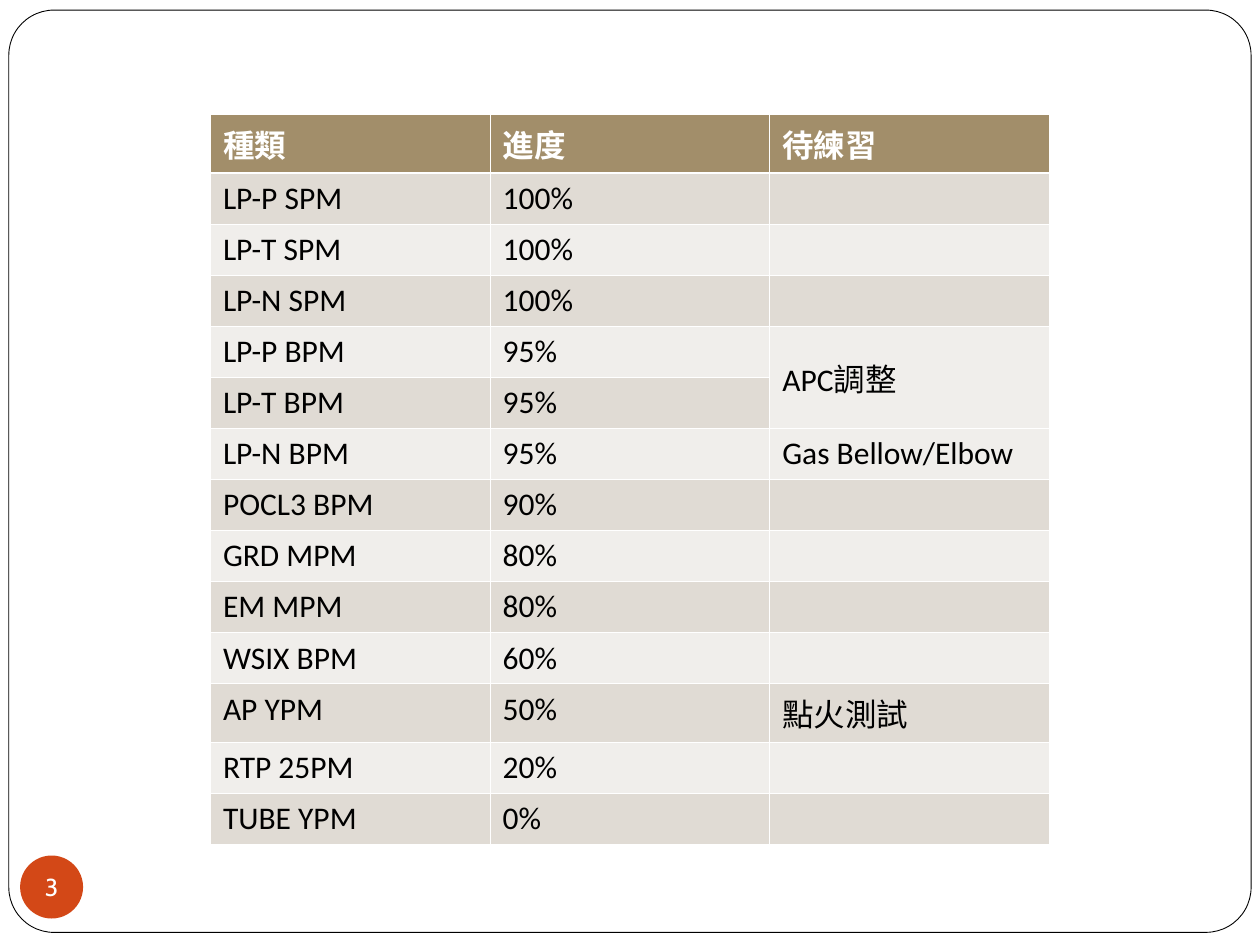
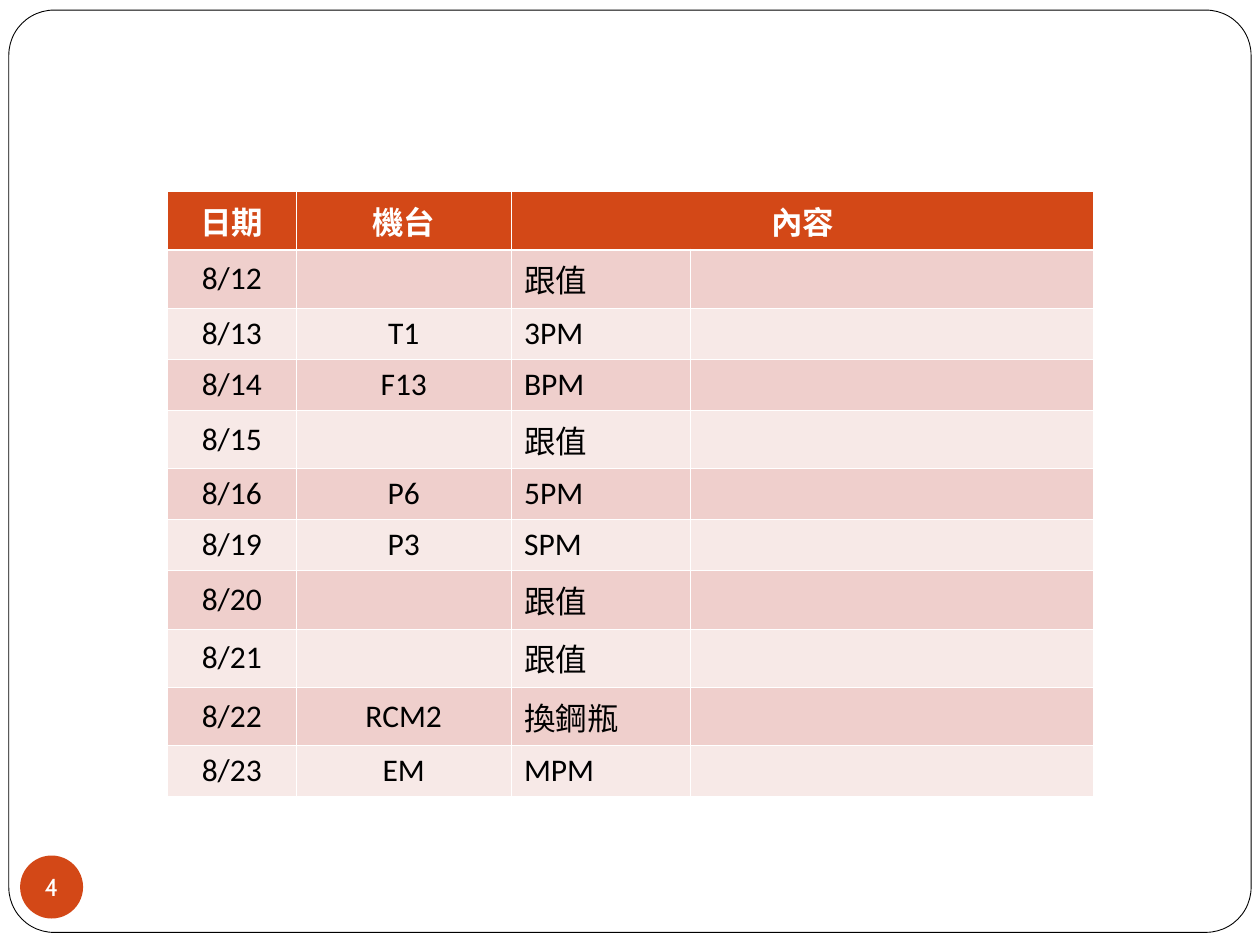
from lxml.etree import SubElement
from pptx import Presentation
from pptx.dml.color import RGBColor
from pptx.enum.shapes import MSO_SHAPE as Shape
from pptx.enum.text import MSO_ANCHOR as Anchor, PP_ALIGN as Align
from pptx.oxml.ns import qn
from pptx.util import Inches, Pt

WHITE = RGBColor(0xFF, 0xFF, 0xFF)
BLACK = RGBColor(0x00, 0x00, 0x00)
ORANGE = RGBColor(0xD3, 0x48, 0x17)
TAN = RGBColor(0xA2, 0x8E, 0x6A)
TAN_BANDS = (RGBColor(0xE0, 0xDB, 0xD4), RGBColor(0xF0, 0xEE, 0xEB))
ORANGE_BANDS = (RGBColor(0xEF, 0xCF, 0xCC), RGBColor(0xF7, 0xE9, 0xE7))
BODY_FONT = "Calibri"
NUMBER_FONT = "Cabin"
THIN, THICK = Pt(0.45), Pt(1.47)

PROGRESS = {
    "number": 3,
    "place": (1.67, 0.91, 6.67, 5.68),
    "widths": (2.22, 2.22, 2.22),
    "header": TAN,
    "bands": TAN_BANDS,
    "aligns": (Align.LEFT, Align.LEFT, Align.LEFT),
    "header_align": Align.LEFT,
    "anchor": Anchor.TOP,
    "merge": ((4, 2), (5, 2)),
    "rows": [
        ("種類", "進度", "待練習"),
        ("LP-P SPM", "100%", ""),
        ("LP-T SPM", "100%", ""),
        ("LP-N SPM", "100%", ""),
        ("LP-P BPM", "95%", "APC調整"),
        ("LP-T BPM", "95%", ""),
        ("LP-N BPM", "95%", "Gas Bellow/Elbow"),
        ("POCL3 BPM", "90%", ""),
        ("GRD MPM", "80%", ""),
        ("EM MPM", "80%", ""),
        ("WSIX BPM", "60%", ""),
        ("AP YPM", "50%", "點火測試"),
        ("RTP 25PM", "20%", ""),
        ("TUBE YPM", "0%", ""),
    ],
}
SCHEDULE = {
    "number": 4,
    "place": (1.33, 1.52, 7.35, 4.46),
    "widths": (1.02, 1.71, 1.42, 3.2),
    "header": ORANGE,
    "bands": ORANGE_BANDS,
    "aligns": (Align.CENTER, Align.CENTER, Align.LEFT, Align.LEFT),
    "header_align": Align.CENTER,
    "anchor": Anchor.MIDDLE,
    "merge": ((0, 2), (0, 3)),
    "rows": [
        ("日期", "機台", "內容", ""),
        ("8/12", "", "跟值", ""),
        ("8/13", "T1", "3PM", ""),
        ("8/14", "F13", "BPM", ""),
        ("8/15", "", "跟值", ""),
        ("8/16", "P6", "5PM", ""),
        ("8/19", "P3", "SPM", ""),
        ("8/20", "", "跟值", ""),
        ("8/21", "", "跟值", ""),
        ("8/22", "RCM2", "換鋼瓶", ""),
        ("8/23", "EM", "MPM", ""),
    ],
}


def add_plain_shape(page, kind, place, fill):
    shape = page.shapes.add_shape(kind, *map(Inches, place))
    shape.shadow.inherit = False
    shape.fill.solid()
    shape.fill.fore_color.rgb = fill
    return shape


def style_text(para, font_name, size, color, align, bold=False):
    para.alignment = align
    para.font.name = font_name
    para.font.size = Pt(size)
    para.font.bold = bold
    para.font.color.rgb = color


def add_frame(page, number):
    frame = add_plain_shape(page, Shape.ROUNDED_RECTANGLE, (0.07, 0.08, 9.86, 7.32), WHITE)
    frame.adjustments[0] = 0.049
    frame.line.color.rgb = BLACK
    frame.line.width = Pt(0.5)

    badge = add_plain_shape(page, Shape.OVAL, (0.16, 6.79, 0.5, 0.5), ORANGE)
    badge.line.fill.background()
    box = badge.text_frame
    box.word_wrap = False
    box.vertical_anchor = Anchor.MIDDLE
    box.margin_left = box.margin_right = box.margin_top = box.margin_bottom = 0
    box.text = str(number)
    style_text(box.paragraphs[0], NUMBER_FONT, 14, WHITE, Align.CENTER)


def add_borders(cell, row):
    properties = cell._tc.get_or_add_tcPr()
    widths = {
        "a:lnL": THIN,
        "a:lnR": THIN,
        "a:lnT": THICK if row == 1 else THIN,
        "a:lnB": THICK if row == 0 else THIN,
    }
    for tag, width in widths.items():
        line = SubElement(properties, qn(tag), w=str(int(width)))
        fill = SubElement(line, qn("a:solidFill"))
        SubElement(fill, qn("a:srgbClr"), val=str(WHITE))


def add_grid(page, content):
    rows, widths = content["rows"], content["widths"]
    table = page.shapes.add_table(len(rows), len(widths), *map(Inches, content["place"])).table
    table.first_row = table.horz_banding = False
    for column, width in zip(table.columns, widths):
        column.width = Inches(width)

    for row, texts in enumerate(rows):
        is_header = row == 0
        fill = content["header"] if is_header else content["bands"][(row - 1) % 2]
        for column, text in enumerate(texts):
            cell = table.cell(row, column)
            add_borders(cell, row)
            cell.fill.solid()
            cell.fill.fore_color.rgb = fill
            cell.vertical_anchor = content["anchor"]
            cell.text = text
            align = content["header_align"] if is_header else content["aligns"][column]
            color = WHITE if is_header else BLACK
            style_text(cell.text_frame.paragraphs[0], BODY_FONT, 18, color, align, is_header)

    first, last = (table.cell(*position) for position in content["merge"])
    first.merge(last)
    first.vertical_anchor = Anchor.MIDDLE


def main():
    deck = Presentation()
    deck.slide_width, deck.slide_height = Inches(10), Inches(7.5)
    for content in (PROGRESS, SCHEDULE):
        page = deck.slides.add_slide(deck.slide_layouts[6])
        add_frame(page, content["number"])
        add_grid(page, content)
    deck.save("out.pptx")


if __name__ == "__main__":
    main()
